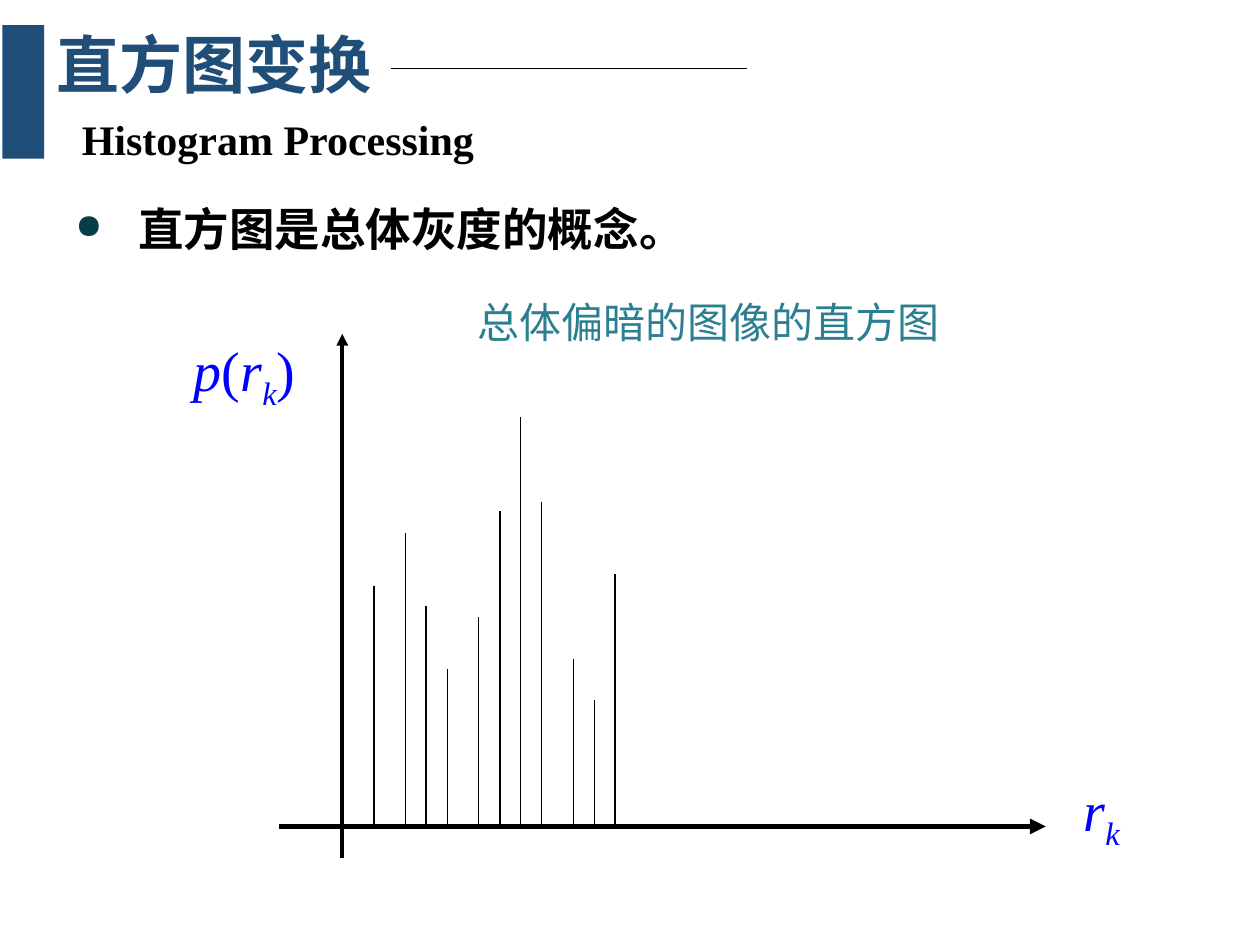
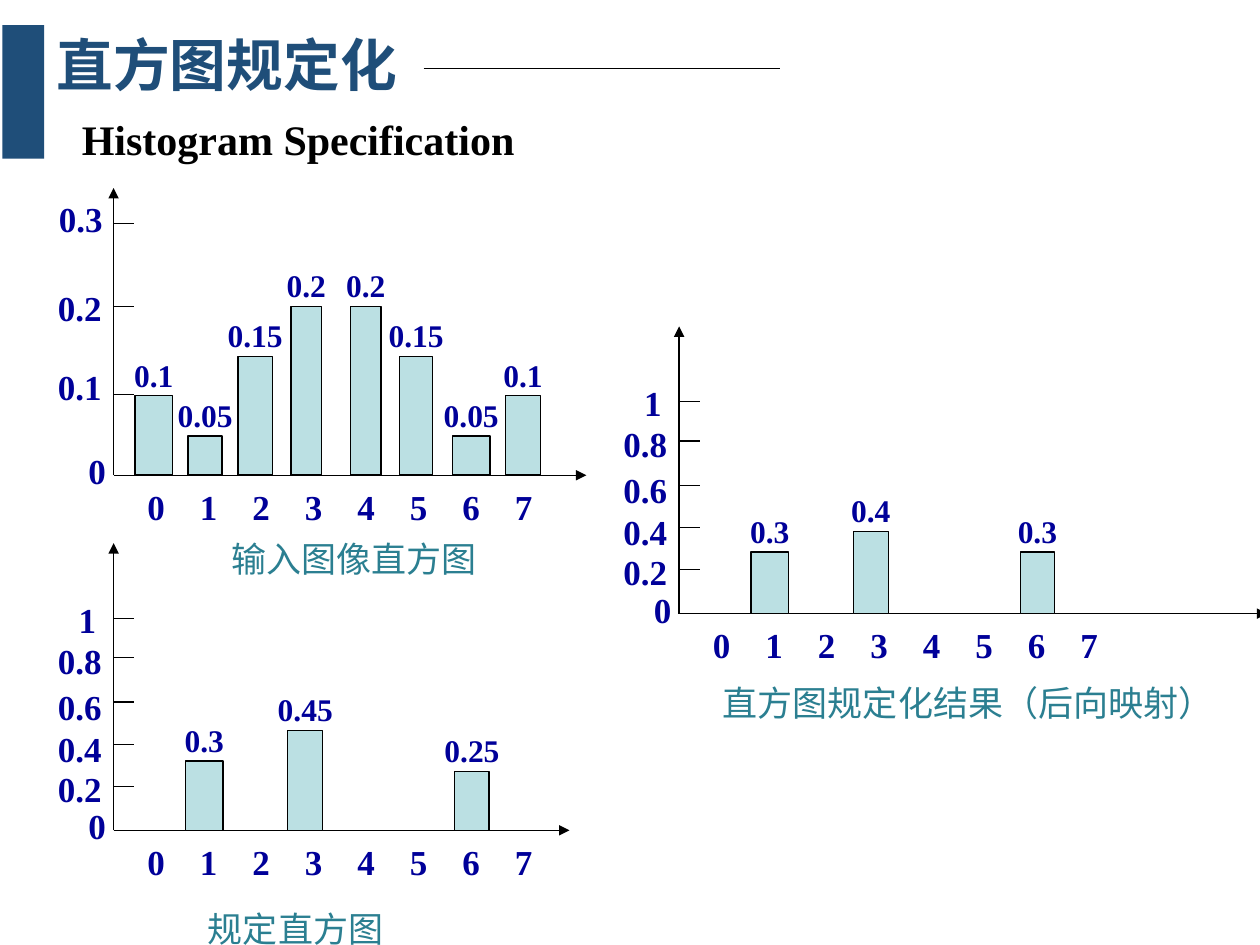
from pptx import Presentation
from pptx.dml.color import RGBColor
from pptx.enum.shapes import MSO_CONNECTOR, MSO_SHAPE
from pptx.enum.text import MSO_ANCHOR, PP_ALIGN
from pptx.oxml.ns import qn
from pptx.util import Cm, Pt
from lxml.etree import SubElement

COLORS = {
    "navy": "1F4E79", "ink": "000000", "teal": "2B7F91", "bullet": "053E49",
    "math": "0000FF", "digit": "000099", "bar": "BBE0E3",
}
SERIF, SANS, BODY = "Times New Roman", "Noto Sans CJK SC", "Calibri"

# Each mark: text, tick height, label height, label offset from the axis
FINE = [("0", 0, 0.09, -0.33), ("0.1", 1.63, 1.79, -0.68),
        ("0.2", 3.4, 3.39, -0.68), ("0.3", 5.08, 5.17, -0.66)]
FULL = [("0", 0, 0.09, -0.33), ("0.2", 0.89, 0.85, -0.68),
        ("0.4", 1.73, 1.66, -0.68), ("0.6", 2.59, 2.5, -0.68),
        ("0.8", 3.48, 3.42, -0.68), ("1", 4.27, 4.25, -0.53)]

# Each bar: text, offset from the axis, width, height
INPUT = [("0.1", 0.43, 0.76, 1.6), ("0.05", 1.5, 0.69, 0.79),
         ("0.15", 2.51, 0.69, 2.39), ("0.2", 3.58, 0.61, 3.4),
         ("0.2", 4.78, 0.61, 3.4), ("0.15", 5.77, 0.66, 2.39),
         ("0.05", 6.83, 0.76, 0.79), ("0.1", 7.9, 0.71, 1.6)]
TARGET = [("0.3", 1.45, 0.76, 1.4), ("0.45", 3.51, 0.71, 2.01),
          ("0.25", 6.88, 0.69, 1.19)]
RESULT = [("0.3", 1.45, 0.76, 1.24), ("0.4", 3.51, 0.71, 1.65),
          ("0.3", 6.88, 0.69, 1.24)]

# Grey-level stems: position and height
STEMS = [(7.54, 4.85), (8.18, 5.92), (8.59, 4.44), (9.02, 3.18),
         (9.65, 4.22), (10.08, 6.35), (10.49, 8.25), (10.92, 6.55),
         (11.56, 3.38), (11.99, 2.54), (12.4, 5.08)]


def paint(name):
    return RGBColor.from_string(COLORS[name])


def style(para, size, font, color, bold=False):
    para.font.size = Pt(size)
    para.font.name = font
    para.font.bold = bold
    para.font.color.rgb = paint(color)


def frame(slide, x, y, w, h, wrap=False, anchor=MSO_ANCHOR.MIDDLE):
    """Add an empty text box and return its first paragraph."""
    text = slide.shapes.add_textbox(Cm(x), Cm(y), Cm(w), Cm(h)).text_frame
    text.word_wrap = wrap
    text.vertical_anchor = anchor
    return text.paragraphs[0]


def label(slide, text, x, y, w, size, font, color, bold=False):
    """Put one centred line of text, w wide, around the point x, y."""
    para = frame(slide, x - w / 2, y - 0.55, w, 1.1)
    para.text = text
    para.alignment = PP_ALIGN.CENTER
    style(para, size, font, color, bold)


def digit(slide, text, x, y, size):
    label(slide, text, x, y, 2, size, SERIF, "digit", True)


def caption(slide, text, x, y, w, size):
    label(slide, text, x, y, w, size, SANS, "teal")


def line(slide, x1, y1, x2, y2, width=0.75, arrow=False):
    link = slide.shapes.add_connector(
        MSO_CONNECTOR.STRAIGHT, Cm(x1), Cm(y1), Cm(x2), Cm(y2))
    link.line.color.rgb = paint("ink")
    link.line.width = Pt(width)
    if arrow:
        SubElement(link.line._get_or_add_ln(), qn("a:tailEnd"), type="triangle")
    SubElement(link._element.spPr, qn("a:effectLst"))


def rect(slide, x, y, w, h, fill, edge=None):
    box = slide.shapes.add_shape(
        MSO_SHAPE.RECTANGLE, Cm(x), Cm(y), Cm(w), Cm(h))
    box.shadow.inherit = False
    box.fill.solid()
    box.fill.fore_color.rgb = paint(fill)
    if edge:
        box.line.color.rgb = paint(edge)
        box.line.width = Pt(0.75)
    else:
        box.line.fill.background()


def header(slide, title, size, rule, sub):
    """Side band, title, thin rule and English subtitle."""
    rect(slide, 0.05, 0.51, 0.84, 2.69, "navy")
    line(slide, rule, 1.38, rule + 7.18, 1.38, 0.5)
    rows = [(title, 0.89, 0.28, 7.6, 2.2, size, SANS, "navy"),
            (sub, 1.4, 1.73, 18.1, 2.26, 24, SERIF, "ink")]
    for text, x, y, w, h, points, font, color in rows:
        para = frame(slide, x, y, w, h)
        para.text = text
        para.line_spacing = 0.9
        style(para, points, font, color, True)


def point(slide, text):
    """Bulleted statement below the header."""
    para = frame(slide, 1.27, 3.71, 22.86, 1.8, True, MSO_ANCHOR.TOP)
    para.text = text
    para.line_spacing = 1.2
    props = para._p.get_or_add_pPr()
    props.set("marL", str(Cm(1.27)))
    props.set("indent", str(-Cm(1.27)))
    tint = SubElement(props, qn("a:buClr"))
    SubElement(tint, qn("a:srgbClr"), val=COLORS["bullet"])
    SubElement(props, qn("a:buSzPct"), val="75000")
    SubElement(props, qn("a:buChar"), char="●")
    style(para, 26, BODY, "ink", True)


def math(slide, x, y, w, parts):
    """Formula from (text, kind) parts; kind is var, sub or sign."""
    para = frame(slide, x, y, w, 1.6)
    para.alignment = PP_ALIGN.CENTER
    style(para, 32, SERIF, "math")
    for text, kind in parts:
        run = para.add_run()
        run.text = text
        run.font.italic = kind != "sign"
        if kind == "sub":
            run.font._element.set("baseline", "-25000")


def levels(slide, x, y):
    """Row of grey levels 0 to 7, one tab stop apart."""
    para = frame(slide, x, y, 9.2, 1.09, True)
    para.text = "\t".join(str(level) for level in range(8))
    tabs = SubElement(para._p.get_or_add_pPr(), qn("a:tabLst"))
    for stop in range(1, 8):
        SubElement(tabs, qn("a:tab"), pos=str(Pt(30 * stop)), algn="l")
    style(para, 20, SERIF, "digit", True)


def plot(slide, x, base, span, marks, bars):
    """Histogram whose axes meet at x, base."""
    line(slide, x, base, x + span, base, arrow=True)
    line(slide, x, base, x, base - 5.79, arrow=True)
    for text, tick, rise, shift in marks:
        if tick:
            line(slide, x, base - tick, x + 0.42, base - tick)
        digit(slide, text, x + shift, base - rise, 20)
    for text, left, wide, high in bars:
        rect(slide, x + left, base - high, wide, high, "bar", "ink")
        digit(slide, text, x + left + wide / 2, base - high - 0.43, 18)
    levels(slide, x + 0.43, base + 0.08)


def main():
    deck = Presentation()
    deck.slide_width, deck.slide_height = Cm(25.4), Cm(19.05)
    blank = deck.slide_layouts[6]

    # Slide 1: histogram of a dark image
    slide = deck.slides.add_slide(blank)
    header(slide, "直方图变换", 36, 7.88, "Histogram Processing")
    point(slide, "直方图是总体灰度的概念。")
    caption(slide, "总体偏暗的图像的直方图", 14.29, 6.48, 11.5, 24)
    base = 16.66
    line(slide, 5.63, base, 21.08, base, 3, True)
    line(slide, 6.9, 17.3, 6.9, 6.73, 2.25, True)
    for x, high in STEMS:
        line(slide, x, base, x, base - high)
    math(slide, 3.15, 6.73, 3.56,
         [("p", "var"), ("(", "sign"), ("r", "var"), ("k", "sub"), (")", "sign")])
    math(slide, 21.56, 15.6, 1.3, [("r", "var"), ("k", "sub")])

    # Slide 2: input, target and resulting histograms
    slide = deck.slides.add_slide(blank)
    header(slide, "直方图规定化", 32.4, 8.54, "Histogram Specification")
    plot(slide, 2.29, 9.58, 9.53, FINE, INPUT)
    plot(slide, 2.29, 16.74, 9.19, FULL, TARGET)
    plot(slide, 13.69, 12.37, 11.86, FULL, RESULT)
    caption(slide, "输入图像直方图", 7.14, 11.25, 5.6, 20)
    caption(slide, "规定直方图", 5.96, 18.72, 4.2, 20)
    caption(slide, "直方图规定化结果（后向映射）", 19.52, 14.17, 10.6, 20)

    deck.save("out.pptx")


if __name__ == "__main__":
    main()
